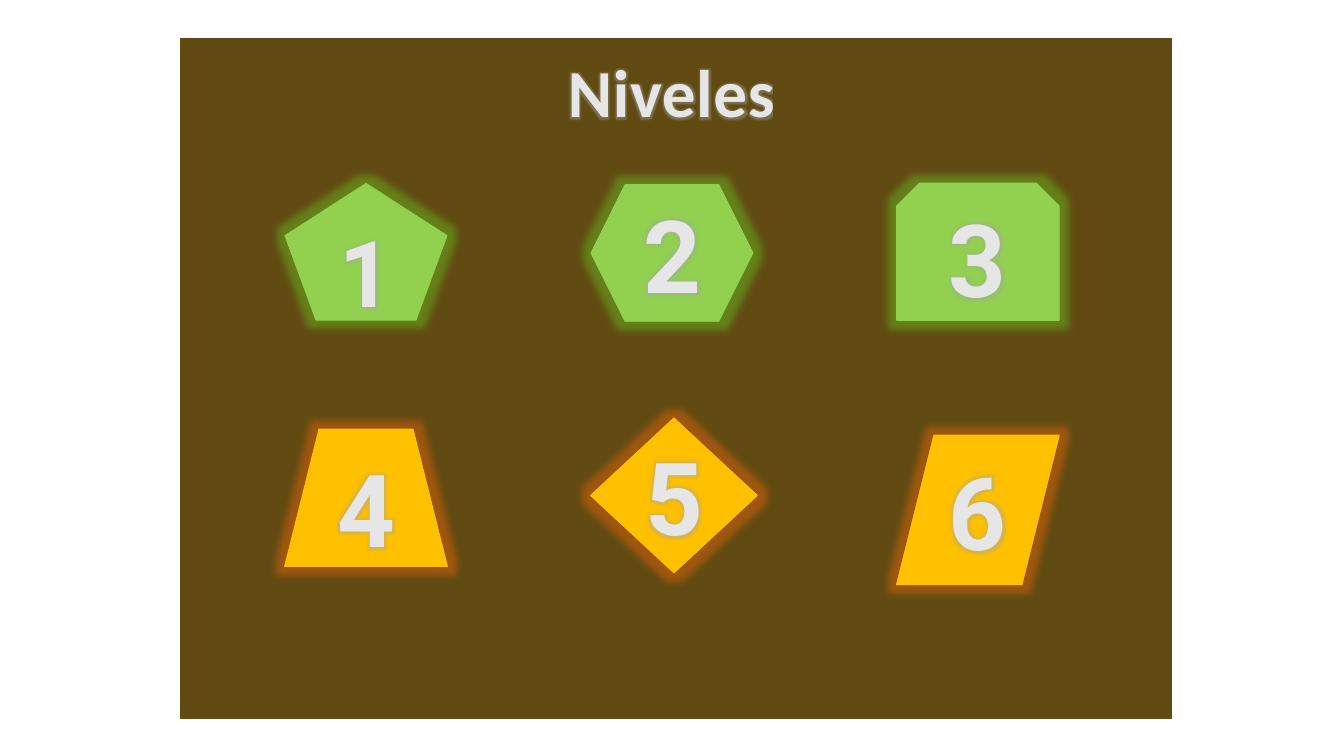
"""Build the Niveles slide: six numbered shapes on a brown panel."""
from lxml.etree import SubElement
from pptx import Presentation
from pptx.dml.color import RGBColor
from pptx.enum.shapes import MSO_SHAPE as KIND
from pptx.enum.text import MSO_ANCHOR, PP_ALIGN
from pptx.oxml.ns import qn
from pptx.util import Cm, Pt

TITLE = "Niveles"
BROWN, GREEN, GOLD, PALE = "614B12", "92D050", "FFC000", "E7E6E6"
GLOWS = {GREEN: "6BD221", GOLD: "FF6A0A", PALE: "A5A5A5"}
PANEL = (4.55, 0.97, 24.97, 17.12)
HEAD = (13.94, 1.27, 5.97, 2.03)
LEFT, STEP, COLS = 7.18, 7.71, 3

# kind, top, width, height, fill, line width, text size
LEVELS = [
    (KIND.REGULAR_PENTAGON, 4.62, 4.09, 3.45, GREEN, 0.5, 66),
    (KIND.HEXAGON, 4.65, 4.09, 3.45, GREEN, 0.5, 72),
    (KIND.SNIP_2_SAME_RECTANGLE, 4.62, 4.09, 3.45, GREEN, 1, 72),
    (KIND.TRAPEZOID, 10.82, 4.09, 3.45, GOLD, 1, 72),
    (KIND.DIAMOND, 10.54, 4.19, 3.89, GOLD, 1, 72),
    (KIND.PARALLELOGRAM, 10.97, 4.09, 3.76, GOLD, 1, 72),
]


def color(code):
    return RGBColor.from_string(code)


def add_glow(effects, code, radius):
    glow = SubElement(effects, qn("a:glow"), rad=str(Pt(radius)))
    tint = SubElement(glow, qn("a:srgbClr"), val=code)
    SubElement(tint, qn("a:alpha"), val="40000")


def add_block(slide, kind, box, fill, width):
    shape = slide.shapes.add_shape(kind, *map(Cm, box))
    shape.shadow.inherit = False
    shape.fill.solid()
    shape.fill.fore_color.rgb = color(fill)
    shape.line.color.rgb = color(fill)
    shape.line.width = Pt(width)
    return shape


def set_text(shape, text, font, size):
    frame = shape.text_frame
    frame.text = text
    frame.word_wrap = True
    frame.vertical_anchor = MSO_ANCHOR.MIDDLE
    para = frame.paragraphs[0]
    para.alignment = PP_ALIGN.CENTER
    run = para.runs[0]
    run.font.size = Pt(size)
    run.font.bold = True
    run.font.color.rgb = color(PALE)
    props = run.font._element
    props.set("spc", "50")
    add_glow(SubElement(props, qn("a:effectLst")), GLOWS[PALE], 5)
    run.font.name = font


def main():
    deck = Presentation()
    deck.slide_width, deck.slide_height = Cm(33.87), Cm(19.05)
    slide = deck.slides.add_slide(deck.slide_layouts[5])

    panel = add_block(slide, KIND.RECTANGLE, PANEL, BROWN, 1)
    title = slide.shapes.title
    title._element.addprevious(panel._element)
    title.left, title.top, title.width, title.height = map(Cm, HEAD)
    set_text(title, TITLE, "Calibri", 48)

    for index, (kind, top, wide, high, fill, width, size) in enumerate(LEVELS):
        box = (LEFT + index % COLS * STEP, top, wide, high)
        shape = add_block(slide, kind, box, fill, width)
        effects = shape._element.spPr.find(qn("a:effectLst"))
        add_glow(effects, GLOWS[fill], 11)
        set_text(shape, str(index + 1), "Roboto", size)
        if kind == KIND.REGULAR_PENTAGON:
            frame = shape.text_frame
            frame.vertical_anchor = MSO_ANCHOR.TOP
            frame.margin_top = frame.margin_bottom = 0

    deck.save("out.pptx")


if __name__ == "__main__":
    main()
